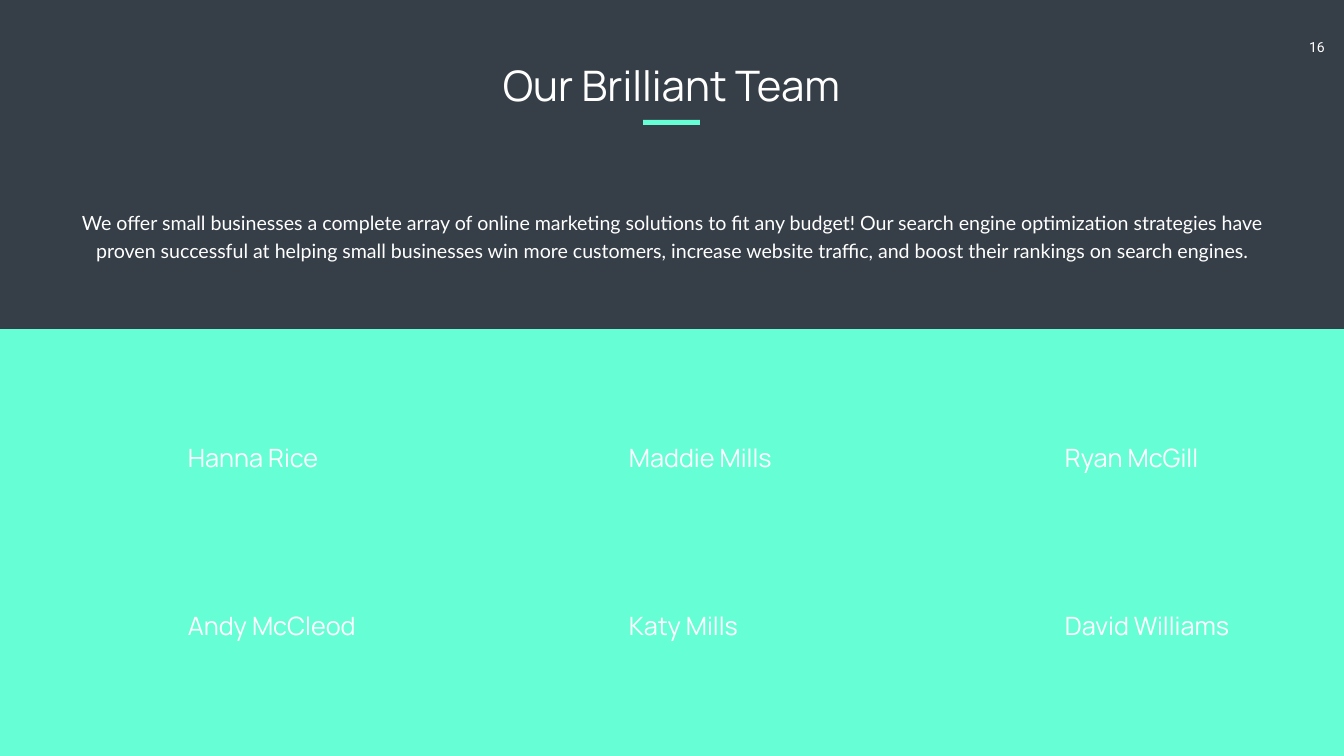
from pptx import Presentation
from pptx import util as u
from pptx.dml.color import RGBColor
from pptx.enum import shapes, text

PX = 914400 / 50.4  # EMU in one px

SLATE = RGBColor(0x36, 0x3E, 0x48)
MINT = RGBColor(0x66, 0xFF, 0xD5)
WHITE = RGBColor(0xFF, 0xFF, 0xFF)

INTRO = (
    "We offer small businesses a complete array of online marketing solutions "
    "to fit any budget! Our search engine optimization strategies have proven "
    "successful at helping small businesses win more customers, increase "
    "website traffic, and boost their rankings on search engines."
)
TEAM = [
    ["Hanna Rice", "Maddie Mills", "Ryan McGill"],
    ["Andy McCleod", "Katy Mills", "David Williams"],
]


def px(length):
    return u.Emu(round(length * PX))


def add_bar(page, left, top, width, height):
    bar = page.shapes.add_shape(
        shapes.MSO_SHAPE.RECTANGLE, px(left), px(top), px(width), px(height))
    bar.shadow.inherit = False
    bar.fill.solid()
    bar.fill.fore_color.rgb = MINT
    bar.line.fill.background()


def add_label(page, left, top, width, height, words, font, size, centred=True):
    box = page.shapes.add_textbox(px(left), px(top), px(width), px(height))
    frame = box.text_frame
    frame.word_wrap = True
    frame.text = words
    para = frame.paragraphs[0]
    para.alignment = text.PP_ALIGN.CENTER if centred else text.PP_ALIGN.LEFT
    span = para.runs[0]
    span.font.name = font
    span.font.size = u.Pt(size)
    span.font.color.rgb = WHITE
    return box


def add_page_number(page, left, top, width, height):
    frame = add_label(page, left, top, width, height, "16", "Roboto", 20).text_frame
    frame.margin_left, frame.margin_right = px(10), px(17)
    frame.margin_top = frame.margin_bottom = px(5)


def add_header(page, left, top, width, height):
    # Title with a short rule centred below it
    add_label(page, left, top, width, 56, "Our Brilliant Team", "Manrope", 60)
    rule_width, rule_height = 57, 5
    add_bar(page, left + (width - rule_width) // 2, top + height - rule_height,
            rule_width, rule_height)


def add_intro(page, left, top, width, height):
    box = add_label(page, left, top, width, height, INTRO, "Lato", 28)
    box.text_frame.paragraphs[0].line_spacing = u.Pt(40.8)


def add_team(page, left, top, width, height):
    # Mint band with a grid of names
    add_bar(page, left, top, width, height)
    columns, first_row, row_step = (183, 624, 1060), 111, 168
    for row, names in enumerate(TEAM):
        for column, name in zip(columns, names):
            add_label(page, left + column, top + first_row + row * row_step,
                      203, 36, name, "Manrope", 36, centred=False)


def main():
    deck = Presentation()
    deck.slide_width, deck.slide_height = px(1344), px(756)
    page = deck.slides.add_slide(deck.slide_layouts[6])
    page.background.fill.solid()
    page.background.fill.fore_color.rgb = SLATE

    add_page_number(page, 1295, 34, 51, 27)
    add_header(page, 302, 57, 739, 68)
    add_team(page, 0, 329, 1344, 427)
    add_intro(page, 76, 203, 1192, 60)

    deck.save("out.pptx")


if __name__ == "__main__":
    main()
